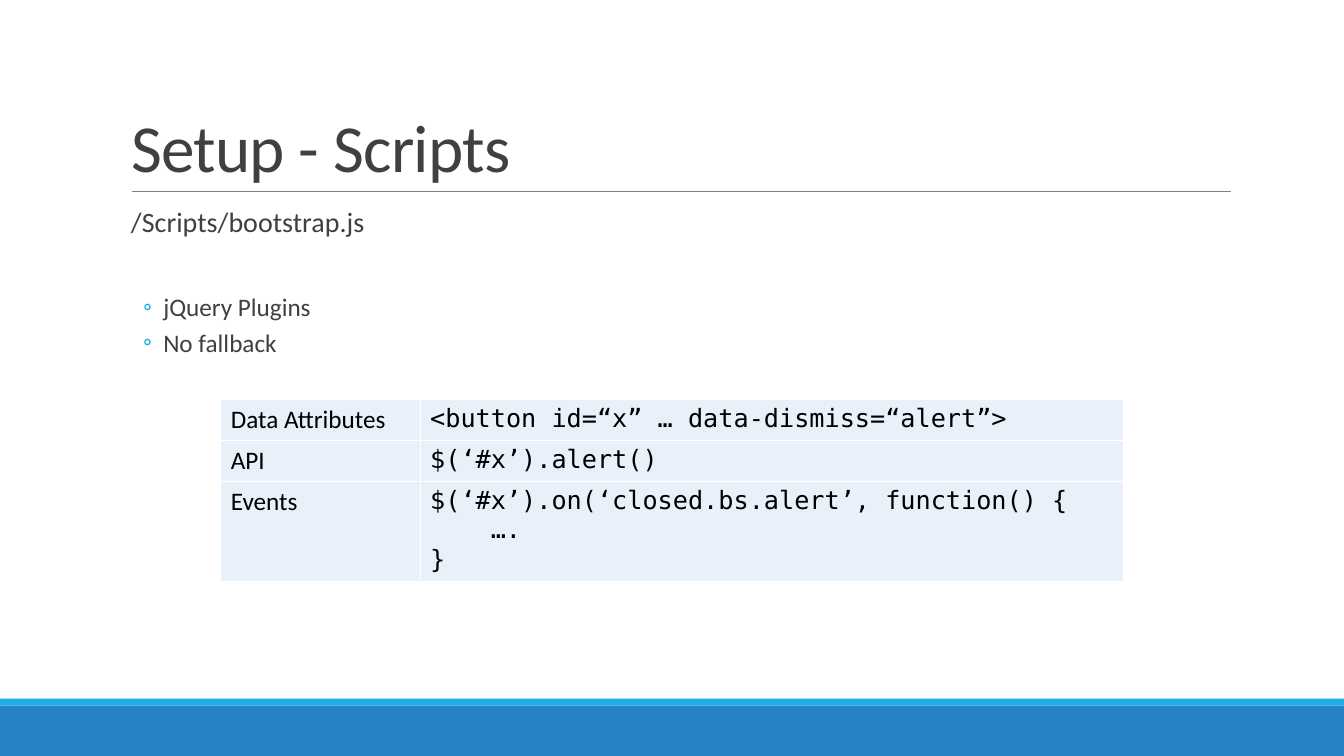
from lxml.etree import SubElement
from pptx import Presentation
from pptx.dml.color import RGBColor
from pptx.enum.shapes import MSO_CONNECTOR, MSO_SHAPE
from pptx.enum.text import MSO_ANCHOR, MSO_AUTO_SIZE, PP_ALIGN
from pptx.oxml.ns import qn
from pptx.util import Pt

RECTANGLE = MSO_SHAPE.RECTANGLE
STRAIGHT = MSO_CONNECTOR.STRAIGHT
BOTTOM, TOP = MSO_ANCHOR.BOTTOM, MSO_ANCHOR.TOP
LEFT = PP_ALIGN.LEFT
NO_AUTOFIT = MSO_AUTO_SIZE.NONE

WHITE = RGBColor(0xFF, 0xFF, 0xFF)
BLACK = RGBColor(0x00, 0x00, 0x00)
DARK_GRAY = RGBColor(0x40, 0x40, 0x40)
RULE_GRAY = RGBColor(0x80, 0x80, 0x80)
BLUE = RGBColor(0x26, 0x83, 0xC6)
CYAN = RGBColor(0x1C, 0xAD, 0xE4)
PALE_BLUE = RGBColor(0xE8, 0xF1, 0xFA)

BODY_FONT = "Calibri"
CODE_FONT = "DejaVu Sans Mono"
CODE_INDENT = 43.3

USAGE_ROWS = [
    ("Data Attributes", [("<button id=“x” … data-dismiss=“alert”>", 0)]),
    ("API", [("$(‘#x’).alert()", 0)]),
    ("Events", [("$(‘#x’).on(‘closed.bs.alert’, function() {", 0), ("….", CODE_INDENT), ("}", 0)]),
]


class SlideBuilder:
    """Draws styled elements on one slide, with lengths in points."""

    def __init__(self, slide):
        self.slide = slide

    def add_text(self, paragraph, text, size, color, font=BODY_FONT):
        run = paragraph.add_run()
        run.text = text
        run.font.size = Pt(size)
        run.font.name = font
        run.font.color.rgb = color
        return run

    def indent(self, paragraph, margin, hanging=0):
        properties = paragraph._p.get_or_add_pPr()
        properties.set("marL", str(Pt(margin)))
        properties.set("indent", str(-Pt(hanging)))
        return properties

    def bar(self, top, height, color):
        shape = self.slide.shapes.add_shape(RECTANGLE, 0, Pt(top), Pt(960), Pt(height))
        shape.shadow.inherit = False
        shape.fill.solid()
        shape.fill.fore_color.rgb = color
        shape.line.fill.background()

    def rule(self, left, right, top):
        connector = self.slide.shapes.add_connector(STRAIGHT, Pt(left), Pt(top), Pt(right), Pt(top))
        connector.line.color.rgb = RULE_GRAY
        connector.line.width = Pt(0.5)
        SubElement(connector._element.spPr, qn("a:effectLst"))

    def title(self, text, left, top, width, height):
        shape = self.slide.shapes.title
        shape.left, shape.top, shape.width, shape.height = map(Pt, (left, top, width, height))
        frame = shape.text_frame
        frame.auto_size = NO_AUTOFIT
        frame.vertical_anchor = BOTTOM
        paragraph = frame.paragraphs[0]
        paragraph.alignment = LEFT
        paragraph.line_spacing = 0.85
        run = self.add_text(paragraph, text, 48, DARK_GRAY)
        run.font._element.set("spc", "-50")

    def body(self, heading, bullets, left, top, width, height):
        frame = self.slide.shapes.add_textbox(Pt(left), Pt(top), Pt(width), Pt(height)).text_frame
        frame.word_wrap = True
        frame.margin_left = frame.margin_right = 0
        paragraph = frame.paragraphs[0]
        paragraph.line_spacing = 0.9
        paragraph.space_after = Pt(2)
        self.indent(paragraph, 7.2)
        self.add_text(paragraph, heading, 20, DARK_GRAY)
        for index, text in enumerate(bullets):
            paragraph = frame.add_paragraph()
            paragraph.level = 1
            paragraph.line_spacing = 0.9
            paragraph.space_before = Pt(2 if index else 38)
            paragraph.space_after = Pt(4)
            properties = self.indent(paragraph, 30.24, 14.4)
            bullet_color = SubElement(properties, qn("a:buClr"))
            SubElement(bullet_color, qn("a:srgbClr"), val=str(CYAN))
            SubElement(properties, qn("a:buFont"), typeface=BODY_FONT)
            SubElement(properties, qn("a:buChar"), char="◦")
            self.add_text(paragraph, text, 18, DARK_GRAY)

    def cell(self, cell, lines, font):
        properties = cell._tc.get_or_add_tcPr()
        for side in ("a:lnL", "a:lnR", "a:lnT", "a:lnB"):
            border = SubElement(properties, qn(side), w=str(Pt(1)))
            fill = SubElement(border, qn("a:solidFill"))
            SubElement(fill, qn("a:srgbClr"), val=str(WHITE))
        cell.fill.solid()
        cell.fill.fore_color.rgb = PALE_BLUE
        cell.vertical_anchor = TOP
        frame = cell.text_frame
        for index, (text, margin) in enumerate(lines):
            paragraph = frame.add_paragraph() if index else frame.paragraphs[0]
            self.indent(paragraph, margin)
            self.add_text(paragraph, text, 18, BLACK, font)

    def table(self, rows, left, top, widths, heights):
        table = self.slide.shapes.add_table(
            len(rows), len(widths), Pt(left), Pt(top), Pt(sum(widths)), Pt(sum(heights))
        ).table
        table.first_row = table.horz_banding = False
        for column, width in zip(table.columns, widths):
            column.width = Pt(width)
        for index, (label, code) in enumerate(rows):
            table.rows[index].height = Pt(heights[index])
            self.cell(table.cell(index, 0), [(label, 0)], BODY_FONT)
            self.cell(table.cell(index, 1), code, CODE_FONT)


def main():
    presentation = Presentation()
    presentation.slide_width, presentation.slide_height = Pt(960), Pt(540)
    slide = presentation.slides.add_slide(presentation.slide_layouts[5])
    builder = SlideBuilder(slide)
    builder.bar(504, 36, BLUE)
    builder.bar(499, 5, CYAN)
    builder.rule(94, 879, 136.8)
    builder.title("Setup - Scripts", 86.4, 22.5, 792, 114.2)
    builder.body("/Scripts/bootstrap.js", ["jQuery Plugins", "No fallback"], 86.4, 145.3, 792, 316.8)
    builder.table(USAGE_ROWS, 157.7, 285.3, [142.4, 502.6], [29.2, 29.2, 71.2])
    presentation.save("out.pptx")


if __name__ == "__main__":
    main()
